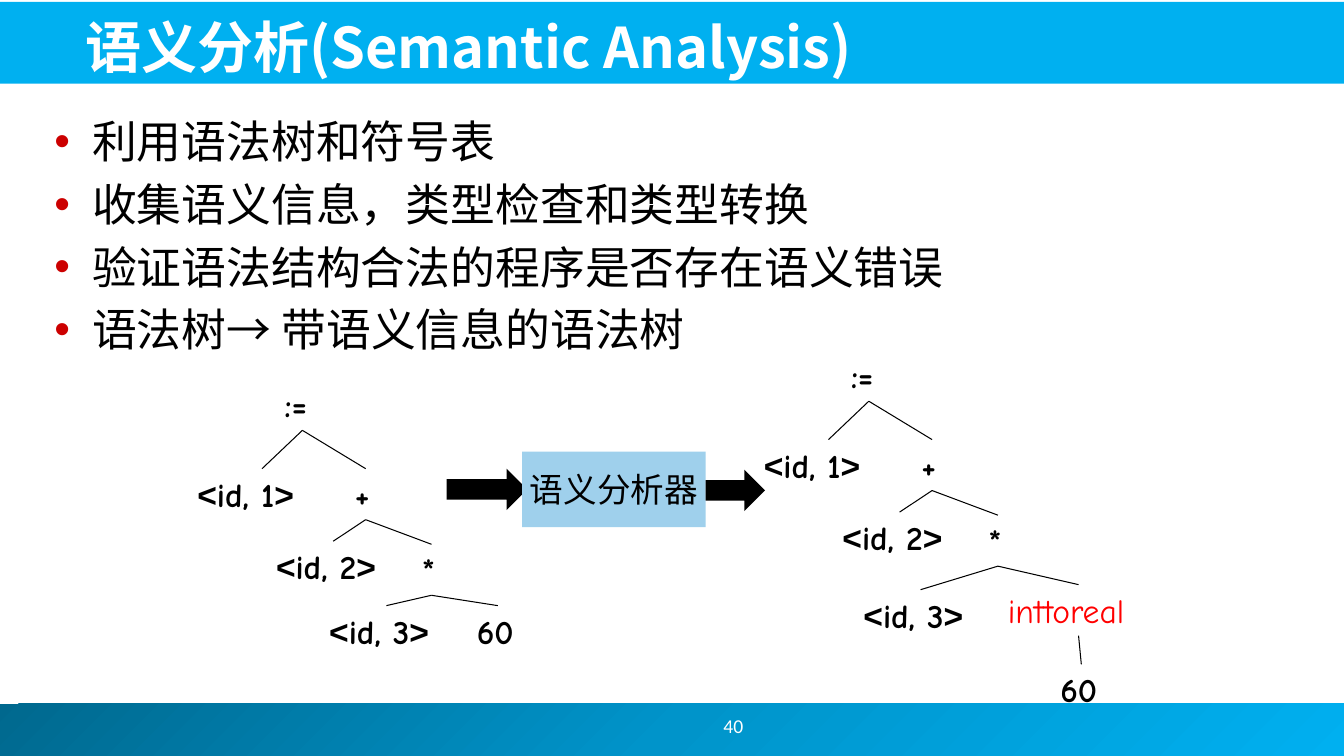
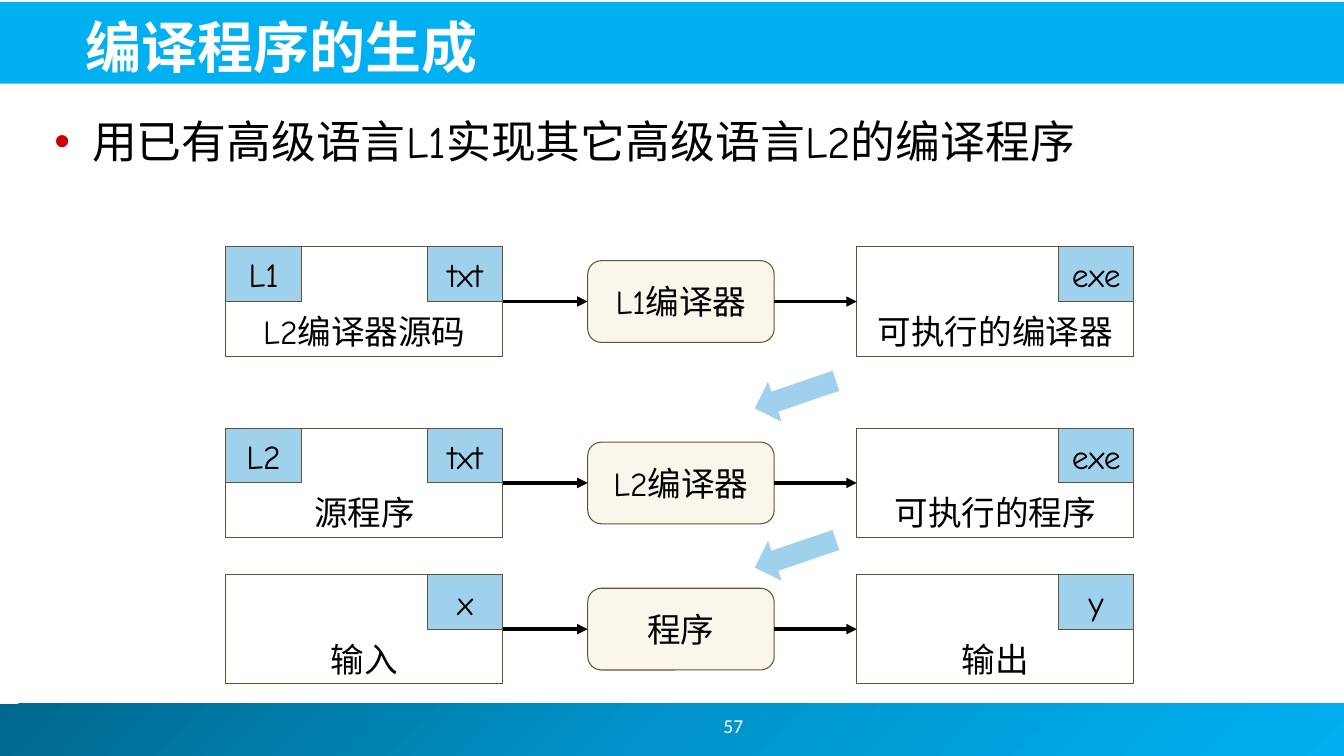
"""Build two compiler lecture slides: semantic analysis and compiler generation."""
from copy import deepcopy
from dataclasses import dataclass
from itertools import groupby
from typing import Optional

from lxml.etree import SubElement
from pptx import Presentation
from pptx.dml.color import RGBColor
from pptx.enum.shapes import MSO_CONNECTOR, MSO_SHAPE
from pptx.enum.text import MSO_ANCHOR, MSO_AUTO_SIZE, PP_ALIGN
from pptx.oxml.ns import qn
from pptx.util import Pt

COLORS = {
    "black": "000000",
    "white": "FFFFFF",
    "red": "FF0000",
    "bullet": "CC0000",
    "sky": "00B0F0",
    "ocean": "0094CA",
    "deep": "00688E",
    "pale_blue": "9FD0EC",
    "cream": "FAF6EB",
    "brown": "605435",
}
CJK = "Noto Sans CJK JP"
COMIC = "Comic Neue"
NODE_HEIGHT = 36.4
CARD_WIDTH, CARD_HEIGHT = 198, 78
TAG_WIDTH, TAG_HEIGHT = 54, 39
SOURCE_LEFT, PROCESSOR_LEFT, RESULT_LEFT = 161.3, 419.8, 612
PROCESSOR_WIDTH, PROCESSOR_HEIGHT = 133.2, 58.4


@dataclass(frozen=True)
class Style:
    """Describe the look of a paragraph."""
    size: float
    font: str = COMIC
    color: str = "black"
    bold: bool = False
    align: PP_ALIGN = PP_ALIGN.LEFT


@dataclass(frozen=True)
class Box:
    """Hold a rectangle in points."""
    left: float
    top: float
    width: float
    height: float

    def lengths(self) -> tuple:
        """Return the four lengths as Pt values."""
        return Pt(self.left), Pt(self.top), Pt(self.width), Pt(self.height)


@dataclass(frozen=True)
class Node:
    """Describe a tree node relative to the bottom of the root."""
    label: str
    center: float
    top: float
    width: float
    parent: Optional[int]
    color: str = "black"
    bold: bool = True


@dataclass(frozen=True)
class Stage:
    """Describe one row that turns a source into a result."""
    top: float
    language: str
    source_tag: str
    source: str
    processor: str
    result_tag: str
    result: str


TITLE = Style(40, CJK, "white", True)
PAGE_NUMBER = Style(14, "Calibri", "white", align=PP_ALIGN.CENTER)
LABEL = Style(24, align=PP_ALIGN.CENTER)

TREE_TOP = [
    Node(":=", 0, -NODE_HEIGHT, 39.6, None),
    Node("<id, 1>", -28.8, 27.4, 106.6, 0),
    Node("+", 45.2, 27.4, 29.6, 0),
    Node("<id, 2>", 22, 79.2, 95.8, 1 + 1),
    Node("*", 92.2, 81.4, 27.4, 2),
]
SYNTAX_TREE = TREE_TOP + [
    Node("<id, 3>", 60, 125.2, 95.8, 4),
    Node("60", 139.6, 125.2, 44, 4),
]
TYPED_TREE = TREE_TOP + [
    Node("<id, 3>", 37, 134.6, 95.8, 4),
    Node("inttoreal", 149.8, 131, 115.2, 4, "red", False),
    Node("60", 151.8, 188, 44, 6),
]
STAGES = [
    Stage(176.4, "L1", "txt", "L2编译器源码", "L1编译器", "exe", "可执行的编译器"),
    Stage(306, "L2", "txt", "源程序", "L2编译器", "exe", "可执行的程序"),
    Stage(410.4, "", "x", "输入", "程序", "y", "输出"),
]


def rgb(name: str) -> RGBColor:
    """Look up a colour by name."""
    return RGBColor.from_string(COLORS[name])


def apply_style(paragraph, style: Style) -> None:
    """Format a whole paragraph."""
    paragraph.alignment = style.align
    font = paragraph.font
    font.size, font.bold, font.name = Pt(style.size), style.bold, style.font
    font.color.rgb = rgb(style.color)
    properties = paragraph._p.pPr.find(qn("a:defRPr"))
    SubElement(properties, qn("a:ea")).set("typeface", CJK)


def write(shape, text: str, style: Style, anchor=MSO_ANCHOR.MIDDLE, wrap: bool = False):
    """Put one styled paragraph into a shape."""
    frame = shape.text_frame
    frame.text = text
    frame.word_wrap = wrap
    frame.vertical_anchor = anchor
    apply_style(frame.paragraphs[0], style)
    return shape


def draw_shape(slide, kind, box: Box, fill: Optional[str] = None, line: Optional[str] = None):
    """Draw a flat preset shape."""
    shape = slide.shapes.add_shape(kind, *box.lengths())
    shape.shadow.inherit = False
    if fill:
        shape.fill.solid()
        shape.fill.fore_color.rgb = rgb(fill)
    else:
        shape.fill.background()
    if line:
        shape.line.color.rgb = rgb(line)
        shape.line.width = Pt(0.75)
    else:
        shape.line.fill.background()
    return shape


def join(slide, start, start_side: int, end, end_side: int, width: float, arrow: bool = False) -> None:
    """Join two shapes with a straight line."""
    line = slide.shapes.add_connector(MSO_CONNECTOR.STRAIGHT, 0, 0, 0, 0)
    line.begin_connect(start, start_side)
    line.end_connect(end, end_side)
    line.line.color.rgb = rgb("black")
    line.line.width = Pt(width)
    properties = line.element.spPr
    if arrow:
        SubElement(properties.find(qn("a:ln")), qn("a:tailEnd")).set("type", "triangle")
    SubElement(properties, qn("a:effectLst"))


def add_bands(slide, layout) -> None:
    """Draw the title and footer bands and place them on the layout."""
    footer = draw_shape(slide, MSO_SHAPE.RECTANGLE, Box(-3.6, 502.6, 964, 37.4), "sky")
    footer.fill.gradient()
    footer.fill.gradient_angle = 315
    stops = footer.fill.gradient_stops
    middle = deepcopy(footer.element.spPr.find(".//" + qn("a:gs")))
    for stop, color, position in zip(stops, ("deep", "sky"), (0, 1)):
        stop.color.rgb = rgb(color)
        stop.position = position
    footer.element.spPr.find(".//" + qn("a:gs")).addnext(middle)
    center_stop = footer.fill.gradient_stops[1]
    center_stop.color.rgb = rgb("ocean")
    center_stop.position = 0.5
    header = draw_shape(slide, MSO_SHAPE.RECTANGLE, Box(-1.4, 1.4, 962, 58.4), "sky")
    for index, band in enumerate((footer, header), start=2):
        layout.shapes.element.insert(index, band.element)


def add_slide(deck, layout, title: str, bullets: list, page: str):
    """Add a slide with its title, bullets and page number."""
    slide = deck.slides.add_slide(layout)
    heading = slide.shapes.title
    heading.left, heading.top, heading.width, heading.height = Box(54, 3.6, 874, 56.8).lengths()
    write(heading, title, TITLE, MSO_ANCHOR.BOTTOM, True)
    heading.text_frame.auto_size = MSO_AUTO_SIZE.NONE

    body = slide.shapes.add_textbox(*Box(31.7, 77.8, 895.6, 391.6).lengths()).text_frame
    body.word_wrap = True
    for index, text in enumerate(bullets):
        paragraph = body.add_paragraph() if index else body.paragraphs[0]
        paragraph.text = text
        if index:
            paragraph.space_before = Pt(6.4)
        properties = paragraph._p.get_or_add_pPr()
        properties.set("marL", str(Pt(27)))
        properties.set("indent", str(Pt(-27)))
        bullet_color = SubElement(properties, qn("a:buClr"))
        SubElement(bullet_color, qn("a:srgbClr")).set("val", COLORS["bullet"])
        SubElement(properties, qn("a:buFont")).set("typeface", "Arial")
        SubElement(properties, qn("a:buChar")).set("char", "•")
        apply_style(paragraph, Style(32))

    number = slide.shapes.add_textbox(*Box(419.8, 500.4, 208, 36).lengths())
    write(number, page, PAGE_NUMBER)
    return slide


def draw_tree(slide, nodes: list, root_x: float, root_y: float) -> None:
    """Draw a tree whose root ends at the given point."""
    drawn = []
    for node in nodes:
        box = Box(root_x + node.center - node.width / 2, root_y + node.top, node.width, NODE_HEIGHT)
        shape = slide.shapes.add_textbox(*box.lengths())
        frame = shape.text_frame
        frame.word_wrap = False
        paragraph = frame.paragraphs[0]
        for is_bracket, letters in groupby(node.label, key=lambda letter: letter in "<>"):
            run = paragraph.add_run()
            run.text = "".join(letters)
            if is_bracket:
                run.font.name = "Arial"
        apply_style(paragraph, Style(24, color=node.color, bold=node.bold))
        drawn.append(shape)
        if node.parent is not None:
            join(slide, drawn[node.parent], 2, shape, 0, 0.75)


def draw_card(slide, left: float, top: float, text: str, left_tag: str, right_tag: str):
    """Draw an outlined card with tags in its upper corners."""
    card = draw_shape(slide, MSO_SHAPE.RECTANGLE, Box(left, top, CARD_WIDTH, CARD_HEIGHT), line="brown")
    write(card, text, LABEL, MSO_ANCHOR.BOTTOM)
    for tag, offset in ((left_tag, 0), (right_tag, CARD_WIDTH - TAG_WIDTH)):
        if tag:
            box = Box(left + offset, top, TAG_WIDTH, TAG_HEIGHT)
            write(draw_shape(slide, MSO_SHAPE.RECTANGLE, box, "pale_blue", "brown"), tag, LABEL)
    return card


def draw_stage(slide, stage: Stage) -> None:
    """Draw a source card, its processor and the result card."""
    source = draw_card(slide, SOURCE_LEFT, stage.top, stage.source, stage.language, stage.source_tag)
    processor_top = stage.top + (CARD_HEIGHT - PROCESSOR_HEIGHT) / 2
    box = Box(PROCESSOR_LEFT, processor_top, PROCESSOR_WIDTH, PROCESSOR_HEIGHT)
    processor = draw_shape(slide, MSO_SHAPE.ROUNDED_RECTANGLE, box, "cream", "brown")
    write(processor, stage.processor, LABEL)
    result = draw_card(slide, RESULT_LEFT, stage.top, stage.result, "", stage.result_tag)
    join(slide, source, 3, processor, 1, 2.5, True)
    join(slide, processor, 3, result, 1, 2.5, True)


def main() -> None:
    """Build and save the deck."""
    deck = Presentation()
    deck.slide_width, deck.slide_height = Pt(960), Pt(540)
    layout = deck.slide_layouts[5]

    semantic = add_slide(deck, layout, "语义分析(Semantic Analysis)", [
        "利用语法树和符号表",
        "收集语义信息，类型检查和类型转换",
        "验证语法结构合法的程序是否存在语义错误",
        "语法树→ 带语义信息的语法树",
    ], "40")
    add_bands(semantic, layout)
    draw_tree(semantic, SYNTAX_TREE, 216, 307.4)
    draw_shape(semantic, MSO_SHAPE.RIGHT_ARROW, Box(319, 334.8, 57.6, 29.5), "black")
    analyzer = draw_shape(semantic, MSO_SHAPE.RECTANGLE, Box(373, 322.6, 131, 54), "pale_blue")
    write(analyzer, "语义分析器", LABEL)
    draw_shape(semantic, MSO_SHAPE.RIGHT_ARROW, Box(504, 335.5, 42.5, 29.5), "black")
    draw_tree(semantic, TYPED_TREE, 620.6, 286.6)

    generation = add_slide(deck, layout, "编译程序的生成", ["用已有高级语言L1实现其它高级语言L2的编译程序"], "57")
    for stage in STAGES:
        draw_stage(generation, stage)
    for top in (251.3, 365):
        arrow = draw_shape(generation, MSO_SHAPE.DOWN_ARROW, Box(553, top, 30.2, 61.2), "pale_blue")
        arrow.rotation = 71.2
    deck.save("out.pptx")


if __name__ == "__main__":
    main()
